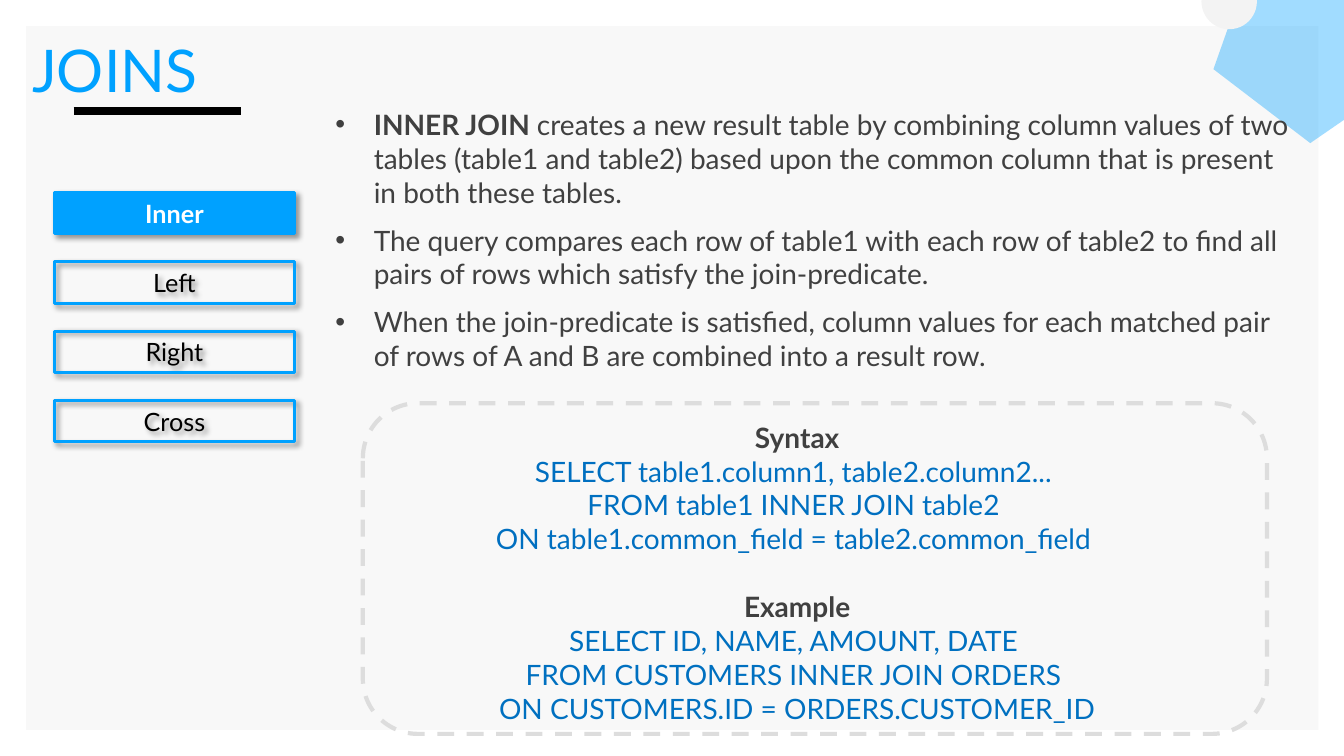
from dataclasses import dataclass
from typing import Optional

from lxml import etree
from pptx import Presentation
from pptx.dml.color import RGBColor
from pptx.enum.dml import MSO_LINE
from pptx.enum.shapes import MSO_CONNECTOR as CONN, MSO_SHAPE as SHAPE
from pptx.enum.text import MSO_ANCHOR as ANCHOR, PP_ALIGN as ALIGN
from pptx.oxml.ns import qn
from pptx.util import Pt

FONT = "Lato"
BLUE, GRAY, CODE = "00A1FF", "404040", "0070C0"


@dataclass
class Line:
    text: str
    bold: bool = False
    color: str = CODE
    before: float = 0


@dataclass
class Button:
    text: str
    active: bool = False


BULLETS = [
    [("INNER JOIN ", True),
     ("creates a new result table by combining column values of two tables "
      "(table1 and table2) based upon the common column that is present in "
      "both these tables.", False)],
    [("The query compares each row of table1 with each row of table2 to find "
      "all pairs of rows which satisfy the join-predicate.", False)],
    [("When the join-predicate is satisfied, column values for each matched "
      "pair of rows of A and B are combined into a result row.", False)],
]
CODE_LINES = [
    Line("Syntax", True, GRAY, 34),
    Line("SELECT table1.column1, table2.column2... ", color="006FC0"),
    Line("FROM table1 INNER JOIN table2 ", color="006FC0"),
    Line("ON table1.common_field = table2.common_field ", color="006FC0"),
    Line("Example", True, GRAY, 24.2),
    Line("SELECT ID, NAME, AMOUNT, DATE "),
    Line("FROM CUSTOMERS INNER JOIN ORDERS "),
    Line("ON CUSTOMERS.ID = ORDERS.CUSTOMER_ID"),
]
BUTTONS = [Button("Inner", True), Button("Left"), Button("Right"), Button("Cross")]


def rgb(color: str) -> RGBColor:
    return RGBColor.from_string(color)


def add_run(p, text: str, *, size: float = 20, color: str = GRAY, bold: bool = False) -> None:
    r = p.add_run()
    r.text = text
    r.font.name, r.font.size, r.font.bold = FONT, Pt(size), bold
    r.font.color.rgb = rgb(color)


def add_shape(kind, x: float, y: float, w: float, h: float, *,
              fill: Optional[str] = None, line: Optional[str] = None, width: float = 1):
    sp = s.shapes.add_shape(kind, Pt(x), Pt(y), Pt(w), Pt(h))
    sp.shadow.inherit = False
    if fill:
        sp.fill.solid()
        sp.fill.fore_color.rgb = rgb(fill)
    else:
        sp.fill.background()
    if line:
        sp.line.color.rgb = rgb(line)
        sp.line.width = Pt(width)
    else:
        sp.line.fill.background()
    return sp


def add_text_box(x: float, y: float, w: float, h: float):
    tf = s.shapes.add_textbox(Pt(x), Pt(y), Pt(w), Pt(h)).text_frame
    tf.word_wrap = True
    tf.margin_left = tf.margin_right = tf.margin_bottom = 0
    tf.margin_top = Pt(1)
    return tf


def indent(p, left: float, first: float = 0, right: float = 0) -> None:
    pPr = p._p.get_or_add_pPr()
    for name, value in (("marL", left), ("indent", first), ("marR", right)):
        pPr.set(name, str(Pt(value)))


def add_bullet(p, color: str) -> None:
    pPr = p._p.get_or_add_pPr()
    clr = etree.SubElement(pPr, qn("a:buClr"))
    etree.SubElement(clr, qn("a:srgbClr"), val=color)
    etree.SubElement(pPr, qn("a:buFont"), typeface="Arial")
    etree.SubElement(pPr, qn("a:buChar"), char="•")


def add_alpha(parent, percent: int) -> None:
    etree.SubElement(parent, qn("a:alpha"), val=str(percent * 1000))


def add_shadow(sp) -> None:
    effects = sp._element.spPr.find(qn("a:effectLst"))
    shadow = etree.SubElement(effects, qn("a:outerShdw"), blurRad=str(Pt(4)),
                              dist=str(Pt(3)), dir="2700000", algn="tl", rotWithShape="0")
    add_alpha(etree.SubElement(shadow, qn("a:srgbClr"), val="000000"), 40)


def add_button(b: Button, y: float) -> None:
    sp = add_shape(SHAPE.RECTANGLE, 38.9, y, 171.4, 29.5,
                   fill=BLUE if b.active else None, line=BLUE, width=2.25)
    add_shadow(sp)
    tf = sp.text_frame
    tf.margin_top = tf.margin_bottom = Pt(3.6)
    tf.vertical_anchor = ANCHOR.MIDDLE
    p = tf.paragraphs[0]
    p.alignment = ALIGN.CENTER
    add_run(p, b.text, size=18, color="FFFFFF" if b.active else "000000", bold=b.active)


prs = Presentation()
prs.slide_width, prs.slide_height = Pt(960), Pt(540)
s = prs.slides.add_slide(prs.slide_layouts[6])

# Background panel
add_shape(SHAPE.RECTANGLE, 18.7, 18.7, 923, 502.6, fill="F8F8F8")

# Title and underline
add_run(add_text_box(23, 23, 936, 39.6).paragraphs[0], "JOINS", size=42, color=BLUE)
rule = s.shapes.add_connector(CONN.STRAIGHT, Pt(52.6), Pt(79.2), Pt(172), Pt(79.2))
rule.line.color.rgb = rgb("000000")
rule.line.width = Pt(6)
etree.SubElement(rule._element.spPr, qn("a:effectLst"))

# Corner decoration
pentagon = add_shape(SHAPE.REGULAR_PENTAGON, 863.3, -44.6, 141.1, 133.9, fill=BLUE)
pentagon.rotation = 325.4
add_alpha(pentagon._element.spPr.find(qn("a:solidFill"))[0], 37)
add_shape(SHAPE.OVAL, 858.2, -18.7, 39.6, 39.6, fill="F3F3F3")

# Explanation, syntax and example
tf = add_text_box(239, 75.6, 686.2, 424.8)
for i, runs in enumerate(BULLETS):
    p = tf.add_paragraph() if i else tf.paragraphs[0]
    p.line_spacing = 1.01
    if i:
        p.space_before = Pt(9.8)
    indent(p, 28, -27.4)
    add_bullet(p, GRAY)
    for text, bold in runs:
        add_run(p, text, bold=bold)
for ln in CODE_LINES:
    p = tf.add_paragraph()
    p.alignment = ALIGN.CENTER
    p.line_spacing = 1.01
    p.space_before = Pt(ln.before)
    indent(p, 0.7, right=26)
    add_run(p, ln.text, color=ln.color, bold=ln.bold)

# Dashed frame around the code
frame = add_shape(SHAPE.ROUNDED_RECTANGLE, 259.2, 288, 645.8, 236.2, line="DDDDDD", width=3)
frame.line.dash_style = MSO_LINE.DASH

# Join type buttons
for i, b in enumerate(BUTTONS):
    add_button(b, 137.5 + i * 49.5)

prs.save("out.pptx")
